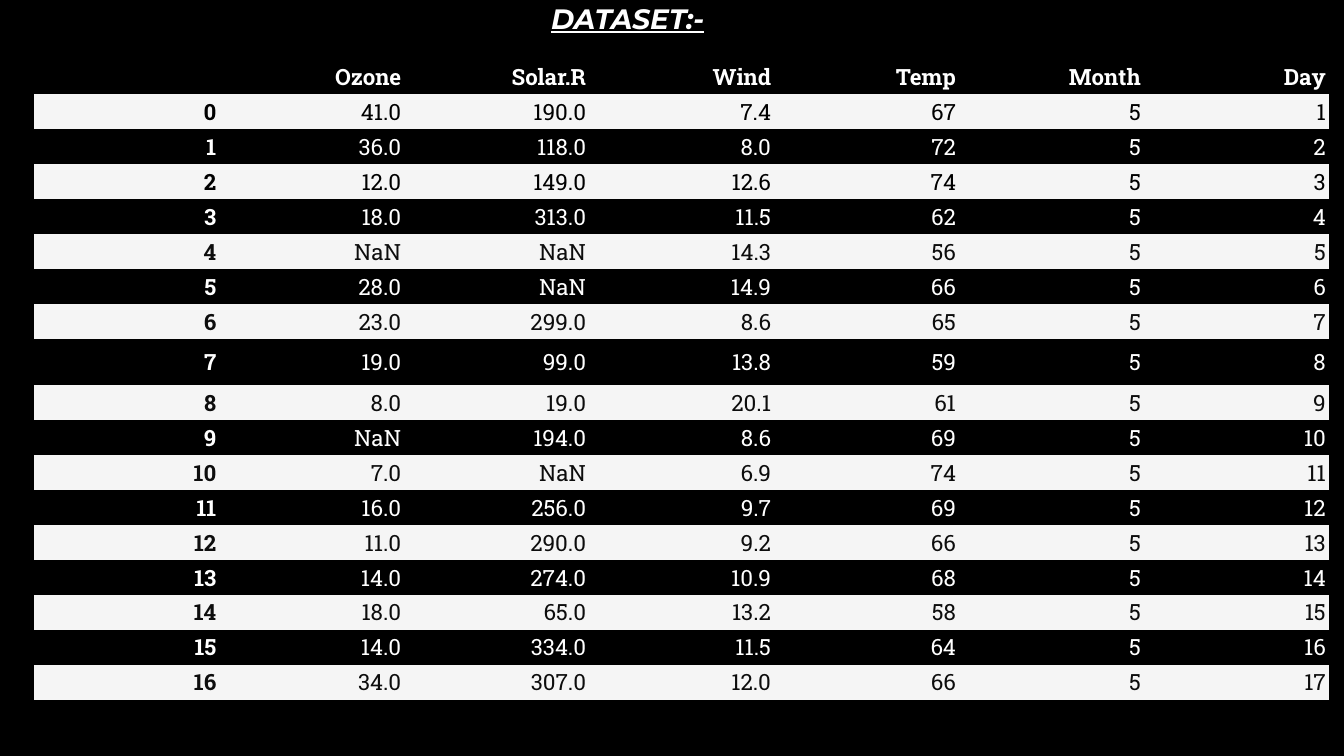
from pptx import Presentation
from pptx.dml.color import RGBColor as RGB
from pptx.enum.text import MSO_ANCHOR as ANCHOR, PP_ALIGN as ALIGN
from pptx.util import Cm, Pt

COLORS = {"black": "000000", "white": "FFFFFF", "band": "F5F5F5", "ink": "0D0D0D"}
NO_STYLE_NO_GRID = "{2D5ABB26-0587-4C30-8999-92F81FD0307C}"
HEADERS = ["", "Ozone", "Solar.R", "Wind", "Temp", "Month", "Day"]
MONTH = "5"
# Ozone, Solar.R, Wind, Temp for each day
READINGS = [
    ("41.0", "190.0", "7.4", "67"),
    ("36.0", "118.0", "8.0", "72"),
    ("12.0", "149.0", "12.6", "74"),
    ("18.0", "313.0", "11.5", "62"),
    ("NaN", "NaN", "14.3", "56"),
    ("28.0", "NaN", "14.9", "66"),
    ("23.0", "299.0", "8.6", "65"),
    ("19.0", "99.0", "13.8", "59"),
    ("8.0", "19.0", "20.1", "61"),
    ("NaN", "194.0", "8.6", "69"),
    ("7.0", "NaN", "6.9", "74"),
    ("16.0", "256.0", "9.7", "69"),
    ("11.0", "290.0", "9.2", "66"),
    ("14.0", "274.0", "10.9", "68"),
    ("18.0", "65.0", "13.2", "58"),
    ("14.0", "334.0", "11.5", "64"),
    ("34.0", "307.0", "12.0", "66"),
]
ROW_H, TALL_ROW_H, COL_W = Cm(0.88), Cm(1.17), Cm(4.66)
TALL_ROW = 8


def set_font(p, name, size, color, bold):
    p.font.name = name
    p.font.size = Pt(size)
    p.font.bold = bold
    p.font.color.rgb = RGB.from_string(COLORS[color])


# Slide and background
prs = Presentation()
prs.slide_width, prs.slide_height = Cm(33.87), Cm(19.05)
s = prs.slides.add_slide(prs.slide_layouts[6])
s.background.fill.solid()
s.background.fill.fore_color.rgb = RGB.from_string(COLORS["black"])

# Title
title = s.shapes.add_textbox(Cm(1.85), Cm(0), Cm(27.94), Cm(2.62))
tf = title.text_frame
tf.word_wrap = True
tf.vertical_anchor = ANCHOR.TOP
p = tf.paragraphs[0]
p.text = "DATASET:-"
p.alignment = ALIGN.CENTER
p.line_spacing = 0.9
set_font(p, "Montserrat", 20, "white", True)
p.font.italic = True
p.font.underline = True

# Table frame
rows = [HEADERS] + [
    [str(i), *reading, MONTH, str(i + 1)] for i, reading in enumerate(READINGS)
]
frame = s.shapes.add_table(
    len(rows), len(HEADERS), Cm(0.86), Cm(1.5),
    COL_W * len(HEADERS), ROW_H * (len(rows) - 1) + TALL_ROW_H,
)
table = frame.table
table.first_row = False
table.horz_banding = False
frame._element.xpath(".//a:tableStyleId")[0].text = NO_STYLE_NO_GRID
for col in table.columns:
    col.width = COL_W

# Table cells: every other row is a light band with dark text
for r, values in enumerate(rows):
    table.rows[r].height = TALL_ROW_H if r == TALL_ROW else ROW_H
    banded = r % 2 == 1
    if banded:
        color = "black" if r <= 3 else "ink"
    else:
        color = "white"
    for c, value in enumerate(values):
        cell = table.cell(r, c)
        cell.margin_left = cell.margin_right = Cm(0.07)
        cell.margin_top = cell.margin_bottom = Cm(0.07)
        cell.vertical_anchor = ANCHOR.MIDDLE
        if banded:
            cell.fill.solid()
            cell.fill.fore_color.rgb = RGB.from_string(COLORS["band"])
        else:
            cell.fill.background()
        p = cell.text_frame.paragraphs[0]
        p.text = value
        p.alignment = ALIGN.RIGHT
        set_font(p, "Roboto Slab", 16, color, r == 0 or c == 0)

prs.save("out.pptx")
